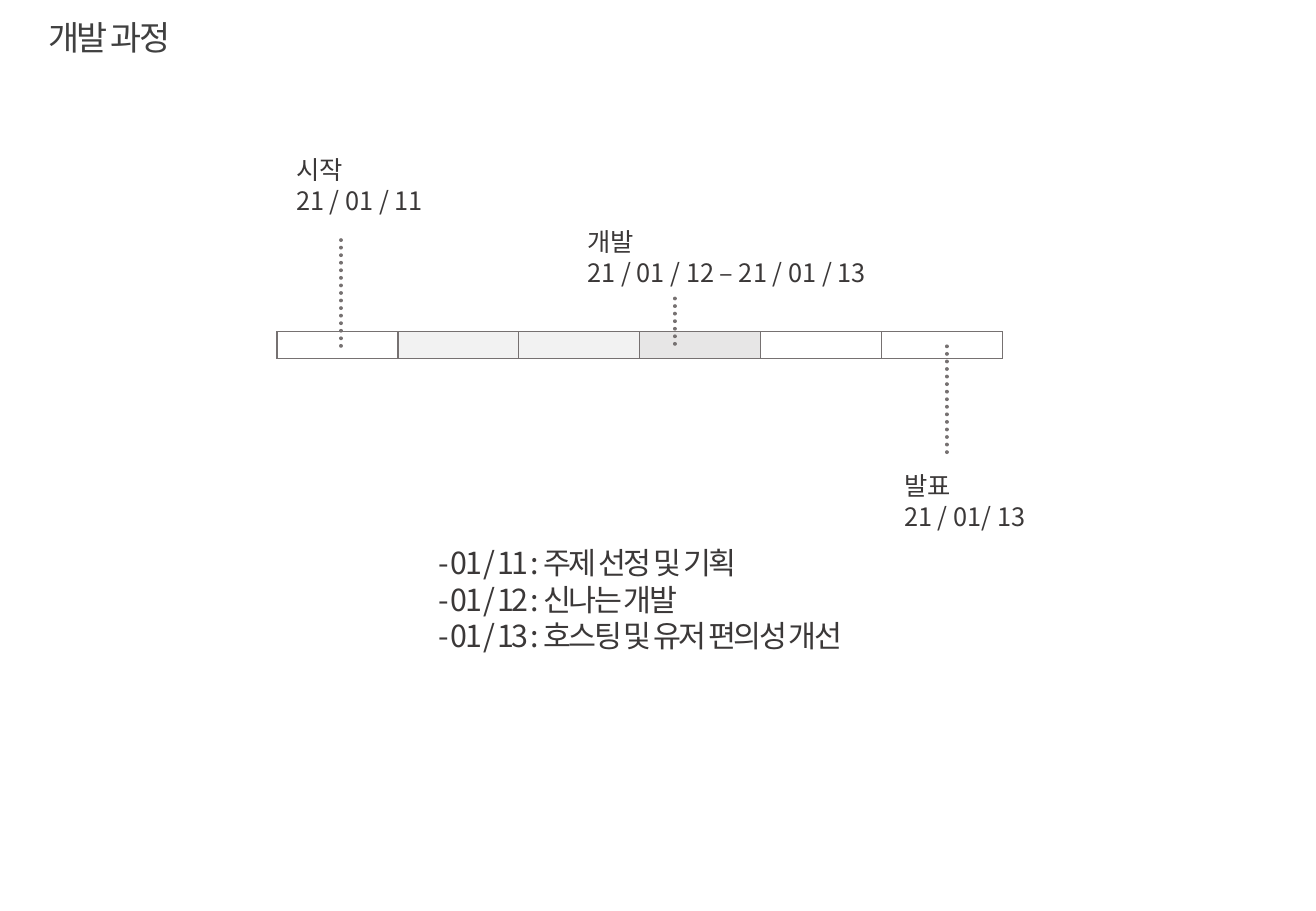
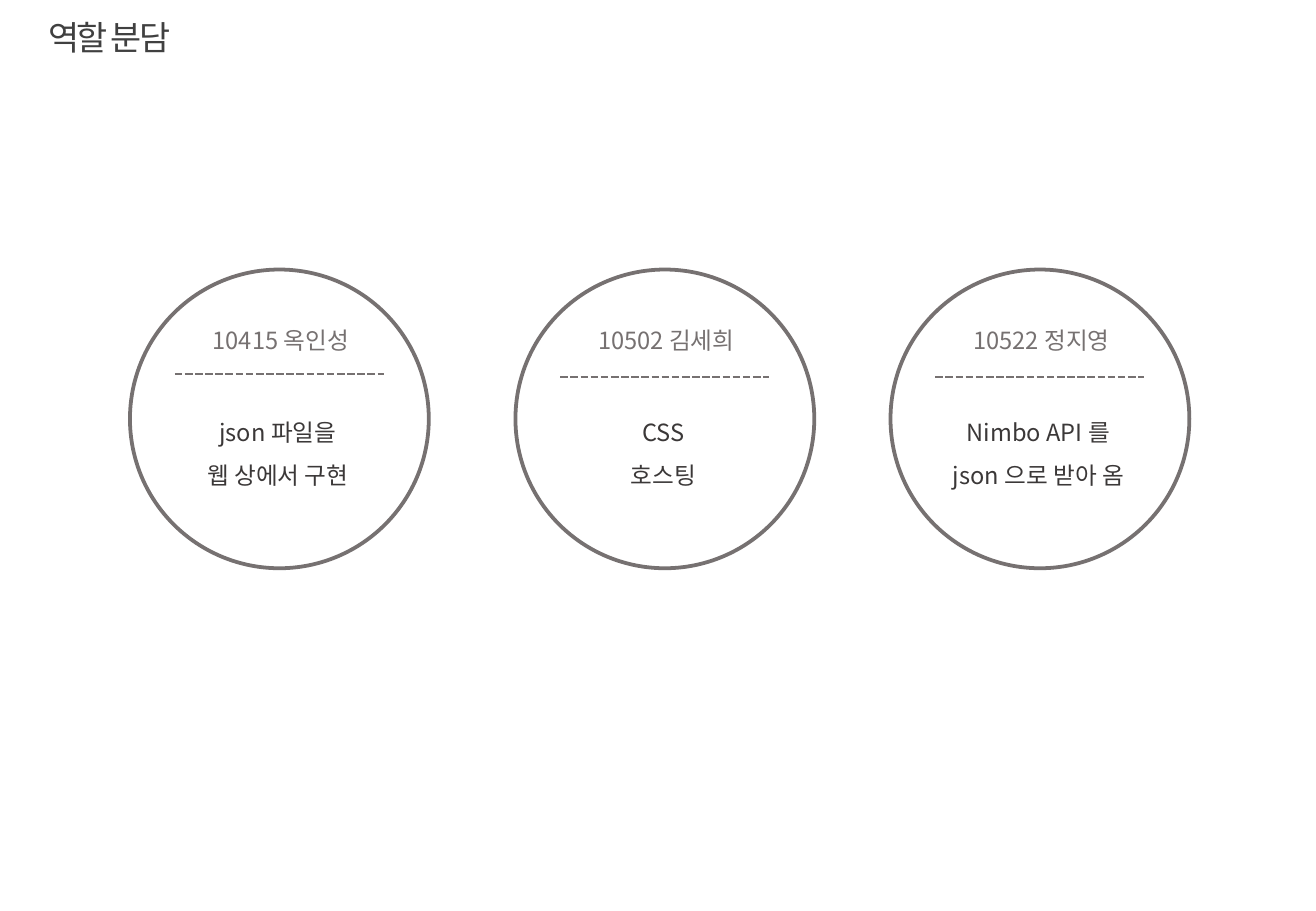
from dataclasses import dataclass

from lxml import etree
from pptx import Presentation
from pptx import util as u
from pptx.dml.color import RGBColor
from pptx.enum import dml, shapes, text
from pptx.oxml import ns


@dataclass(frozen=True)
class Theme:
    """Colours, font and type sizes of the deck."""
    font: str = "Noto Sans CJK KR"
    title: str = "404040"
    ink: str = "3B3838"
    line: str = "767171"
    pale: str = "F2F2F2"
    active: str = "E7E6E6"
    title_size: int = 20
    list_size: int = 18
    label_size: int = 15
    role_size: int = 14
    tight: float = -1.5


@dataclass(frozen=True)
class Box:
    """A rectangle in EMU."""
    left: int
    top: int
    width: int
    height: int

    def area(self, x, y, w, h, cols=1, rows=1):
        """Return a box measured in columns and rows of this one."""
        col, row = self.width / cols, self.height / rows
        return Box(round(self.left + x * col), round(self.top + y * row),
                   round(w * col), round(h * row))

    @property
    def place(self):
        """Left, top, width and height, as the add methods take them."""
        return self.left, self.top, self.width, self.height


THEME = Theme()
PAGE = Box(0, 0, u.Inches(10.83), u.Inches(7.5))
GRID = 24


def on_grid(x, y, w, h):
    """Return a box on the page grid."""
    return PAGE.area(x, y, w, h, GRID, GRID)


def rgb(colour):
    """Turn a hex string into a colour."""
    return RGBColor.from_string(colour)


def child(parent, tag, **attributes):
    """Add a DrawingML element to a parent."""
    return etree.SubElement(parent, ns.qn(tag), **attributes)


def write(frame, lines, size, colour, align=text.PP_ALIGN.LEFT,
          spacing=1.0, tracking=0):
    """Fill a text frame with one paragraph per line."""
    frame.word_wrap = True
    frame.auto_size = text.MSO_AUTO_SIZE.SHAPE_TO_FIT_TEXT
    frame.vertical_anchor = text.MSO_ANCHOR.TOP
    frame.text = "\n".join(lines)
    for paragraph in frame.paragraphs:
        paragraph.alignment = align
        paragraph.line_spacing = spacing
        paragraph.space_before = u.Pt(0)
        font = paragraph.font
        font.name, font.size = THEME.font, u.Pt(size)
        font.color.rgb = rgb(colour)
        defaults = paragraph._p.pPr.find(ns.qn("a:defRPr"))
        child(defaults, "a:ea", typeface=THEME.font)
        if tracking:
            defaults.set("spc", str(round(tracking * 100)))


def add_label(slide, box, lines, size, colour, **style):
    """Add a text box."""
    write(slide.shapes.add_textbox(*box.place).text_frame, lines, size, colour, **style)


def fill_placeholder(holder, box, lines, size, colour):
    """Move a template placeholder and write tightly tracked text in it."""
    holder.left, holder.top, holder.width, holder.height = box.place
    write(holder.text_frame, lines, size, colour, tracking=THEME.tight)


def add_rule(slide, box, width, dash, cap="flat"):
    """Draw a dashed line from the top left to the bottom right of a box."""
    rule = slide.shapes.add_connector(
        shapes.MSO_CONNECTOR.STRAIGHT, box.left, box.top,
        box.left + box.width, box.top + box.height)
    rule.line.color.rgb = rgb(THEME.line)
    rule.line.width = u.Pt(width)
    rule.line.dash_style = dash
    properties = rule._element.spPr
    properties.find(ns.qn("a:ln")).set("cap", cap)
    child(properties, "a:effectLst")


def start_slide(deck, layout, title):
    """Add a slide with the shared title style."""
    slide = deck.slides.add_slide(deck.slide_layouts[layout])
    fill_placeholder(slide.shapes.title, on_grid(0.66, 0.29, 3.53, 1.41),
                     [title], THEME.title_size, THEME.title)
    return slide


def add_bar(slide, box, fills):
    """Draw the timeline bar as a one-row table, one cell per fill."""
    table = slide.shapes.add_table(1, len(fills), *box.place).table
    table.first_row = table.horz_banding = False
    table.rows[0].height = box.height
    for cell, fill in zip(table.rows[0].cells, fills):
        cell.margin_left = cell.margin_right = 0
        cell.margin_top = cell.margin_bottom = 0
        cell.text_frame.paragraphs[0]._p.get_or_add_endParaRPr().set("sz", "800")
        properties = cell._tc.get_or_add_tcPr()
        for side in ("a:lnL", "a:lnR", "a:lnT", "a:lnB"):
            border = child(properties, side, w=str(u.Pt(1)))
            child(child(border, "a:solidFill"), "a:srgbClr", val=THEME.line)
        if fill:
            cell.fill.solid()
            cell.fill.fore_color.rgb = rgb(fill)
        else:
            cell.fill.background()


def add_timeline(slide, box, fills, milestones):
    """Draw the bar and its milestones, measured in cells of the bar."""
    add_bar(slide, box, fills)
    cells = len(fills)
    for lines, (label_x, label_y), (stem_x, stem_top, stem_end) in milestones:
        add_rule(slide, box.area(stem_x, stem_top, 0, stem_end - stem_top, cells),
                 2.25, dml.MSO_LINE.ROUND_DOT, "rnd")
        add_label(slide, box.area(label_x, label_y, 2.86, 2.77, cells),
                  lines, THEME.label_size, THEME.ink)


def add_role(slide, box, member, tasks, divider):
    """Draw a circle with a member, a divider and the member's tasks."""
    circle = slide.shapes.add_shape(shapes.MSO_SHAPE.OVAL, *box.place)
    circle.shadow.inherit = False
    circle.fill.background()
    circle.line.color.rgb = rgb(THEME.line)
    circle.line.width = u.Pt(2.25)
    centred = {"align": text.PP_ALIGN.CENTER, "spacing": 1.5}
    add_label(slide, box.area(-0.13, 0.12, 1.27, 0.17), [member],
              THEME.role_size, THEME.line, **centred)
    add_rule(slide, box.area(0.15, divider, 0.7, 0), 1.5, dml.MSO_LINE.SQUARE_DOT)
    add_label(slide, box.area(-0.14, 0.43, 1.27, 0.31), tasks,
              THEME.role_size, THEME.ink, **centred)


def process_slide(deck):
    """Build the development process slide."""
    slide = start_slide(deck, 1, "개발 과정")
    add_timeline(
        slide, on_grid(5.05, 8.74, 13.23, 0.7),
        [None, THEME.pale, THEME.pale, THEME.active, None, None],
        [(["시작", "21 / 01 / 11"], (0.06, -6.9), (0.53, -3.45, 0.55)),
         (["개발", "21 / 01 / 12 – 21 / 01 / 13"], (2.47, -4.18), (3.29, -1.25, 0.55)),
         (["발표", "21 / 01/ 13"], (5.09, 5), (5.54, 0.55, 4.6))])
    schedule = slide.placeholders[1]
    fill_placeholder(
        schedule, on_grid(7.78, 14.18, 9.04, 3.23),
        ["- 01 / 11 : 주제 선정 및 기획",
         "- 01 / 12 : 신나는 개발",
         "- 01 / 13 : 호스팅 및 유저 편의성 개선"],
        THEME.list_size, THEME.ink)
    for paragraph in schedule.text_frame.paragraphs:
        properties = paragraph._p.pPr
        properties.set("marL", "0")
        properties.set("indent", "0")
        properties.find(ns.qn("a:defRPr")).addprevious(
            etree.Element(ns.qn("a:buNone")))


def roles_slide(deck):
    """Build the division of roles slide."""
    slide = start_slide(deck, 5, "역할 분담")
    roles = [(2.37, "10415 옥인성", ["json 파일을", "웹 상에서 구현"], 0.35),
             (9.4, "10502 김세희", ["CSS", "호스팅"], 0.36),
             (16.24, "10522 정지영", ["Nimbo API 를", "json 으로 받아 옴"], 0.36)]
    for left, member, tasks, divider in roles:
        add_role(slide, on_grid(left, 7.1, 5.45, 7.87), member, tasks, divider)


def main():
    """Build and save the deck."""
    deck = Presentation()
    deck.slide_width, deck.slide_height = PAGE.width, PAGE.height
    process_slide(deck)
    roles_slide(deck)
    deck.save("out.pptx")


main()
